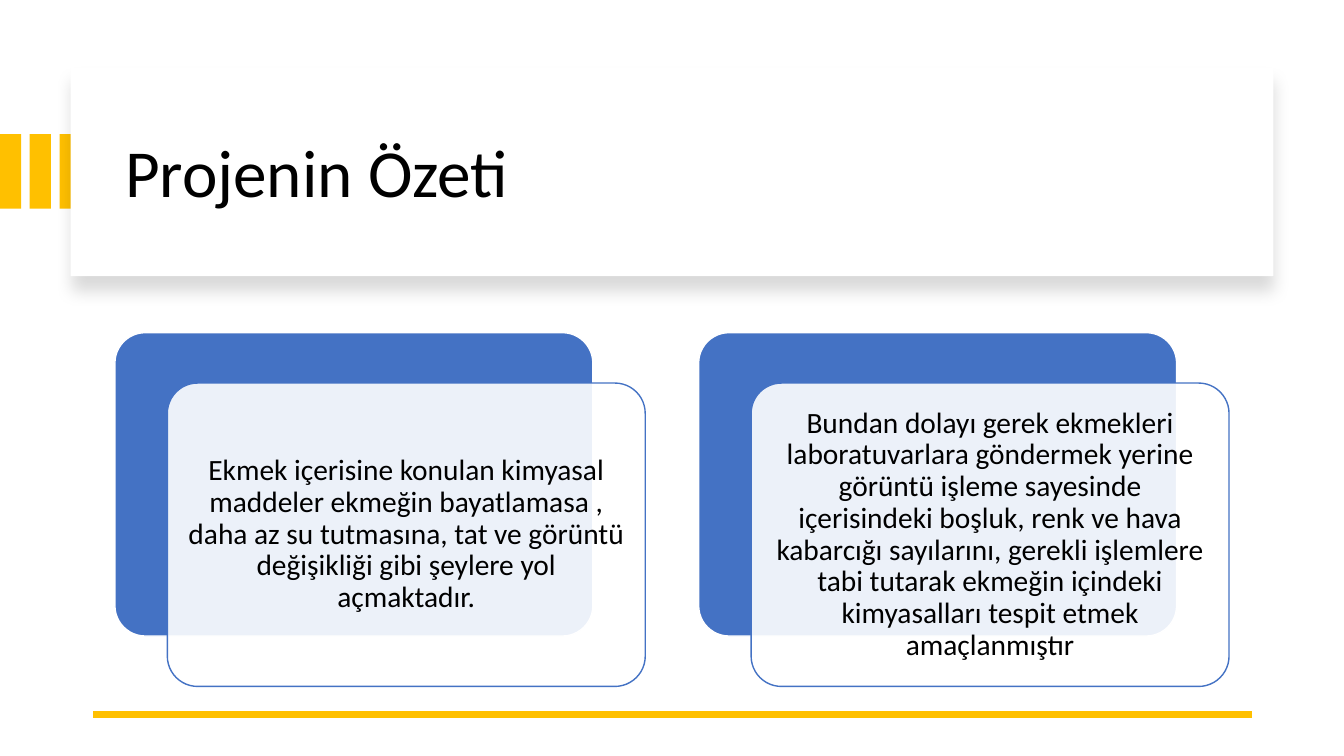
from dataclasses import dataclass

from lxml import etree
from pptx import Presentation
from pptx import util as u
from pptx.dml.color import RGBColor
from pptx.enum import shapes, text
from pptx.oxml import ns


@dataclass(frozen=True)
class Theme:
    accent: str = "FFC000"
    blue: str = "4472C4"
    paper: str = "FFFFFF"
    ink: str = "000000"
    font: str = "Calibri"
    title_size: float = 48
    card_size: float = 21
    card_line: float = 1
    rule_line: float = 4.5


@dataclass(frozen=True)
class Box:
    left: float
    top: float
    width: float
    height: float

    def shifted(self, right: float, down: float = 0):
        return Box(self.left + right, self.top + down, self.width, self.height)

    def lengths(self):
        return [u.Inches(v) for v in (self.left, self.top, self.width, self.height)]


THEME = Theme()
STRIPE = Box(0, 1.33, 0.21, 0.74)
STRIPE_PITCH = 0.295
PANEL = Box(0.7, 0.67, 11.93, 2.07)
HEADING = Box(1.14, 0.89, 11.13, 1.7)
CARD = Box(1.14, 3.3, 4.74, 3.01)
CARD_PITCH = 5.79
FRONT_OFFSET = (0.52, 0.5)
SUMMARIES = (
    "Ekmek içerisine konulan kimyasal maddeler ekmeğin bayatlamasa , daha az su "
    "tutmasına, tat ve görüntü değişikliği gibi şeylere yol açmaktadır.",
    "Bundan dolayı gerek ekmekleri laboratuvarlara göndermek yerine görüntü işleme "
    "sayesinde içerisindeki boşluk, renk ve hava kabarcığı sayılarını, gerekli "
    "işlemlere tabi tutarak ekmeğin içindeki kimyasalları tespit etmek amaçlanmıştır",
)


def add_child(parent, tag: str, **attributes):
    return etree.SubElement(parent, ns.qn(tag), attributes)


def add_block(slide, box: Box, fill: str, outline: str = "", rounded: bool = False):
    preset = shapes.MSO_SHAPE.ROUNDED_RECTANGLE if rounded else shapes.MSO_SHAPE.RECTANGLE
    block = slide.shapes.add_shape(preset, *box.lengths())
    block.shadow.inherit = False
    block.fill.solid()
    block.fill.fore_color.rgb = RGBColor.from_string(fill)
    if rounded:
        block.adjustments[0] = 0.1
    if outline:
        block.line.color.rgb = RGBColor.from_string(outline)
        block.line.width = u.Pt(THEME.card_line)
    else:
        block.line.fill.background()
    return block


def write(shape, wording: str, size: float, alignment) -> None:
    frame = shape.text_frame
    frame.word_wrap = True
    frame.auto_size = text.MSO_AUTO_SIZE.NONE
    frame.vertical_anchor = text.MSO_ANCHOR.MIDDLE
    frame.text = wording
    paragraph = frame.paragraphs[0]
    paragraph.alignment = alignment
    paragraph.line_spacing = 0.9
    paragraph.font.name = THEME.font
    paragraph.font.size = u.Pt(size)
    paragraph.font.color.rgb = RGBColor.from_string(THEME.ink)


def add_header(slide) -> None:
    for index in range(3):
        add_block(slide, STRIPE.shifted(index * STRIPE_PITCH), THEME.accent)
    panel = add_block(slide, PANEL, THEME.paper)
    effects = panel._element.spPr.find(ns.qn("a:effectLst"))
    shadow = add_child(effects, "a:outerShdw", blurRad=str(u.Pt(11)),
                       dist=str(u.Pt(10)), dir="5400000", algn="t", rotWithShape="0")
    shade = add_child(shadow, "a:srgbClr", val=THEME.ink)
    add_child(shade, "a:alpha", val="15000")

    heading = slide.shapes.title
    heading.left, heading.top, heading.width, heading.height = HEADING.lengths()
    write(heading, "Projenin Özeti", THEME.title_size, text.PP_ALIGN.LEFT)
    panel._element.addnext(heading._element)


def add_rule(slide) -> None:
    rule = slide.shapes.add_connector(
        shapes.MSO_CONNECTOR.STRAIGHT,
        u.Inches(12.42), u.Inches(7.09), u.Inches(0.92), u.Inches(7.09))
    rule.line.color.rgb = RGBColor.from_string(THEME.accent)
    rule.line.width = u.Pt(THEME.rule_line)
    add_child(rule._element.spPr, "a:effectLst")


def add_card(slide, box: Box, summary: str) -> None:
    add_block(slide, box, THEME.blue, THEME.paper, rounded=True)
    front = add_block(slide, box.shifted(*FRONT_OFFSET), THEME.paper, THEME.blue, rounded=True)
    tint = front._element.spPr.find(ns.qn("a:solidFill"))[0]
    add_child(tint, "a:alpha", val="90000")
    frame = front.text_frame
    frame.margin_left = frame.margin_right = u.Inches(0.09)
    frame.margin_top = frame.margin_bottom = u.Inches(0.09)
    write(front, summary, THEME.card_size, text.PP_ALIGN.CENTER)


def main() -> None:
    deck = Presentation()
    deck.slide_width, deck.slide_height = u.Inches(13.33), u.Inches(7.5)
    slide = deck.slides.add_slide(deck.slide_layouts.get_by_name("Title Only"))
    add_header(slide)
    add_rule(slide)
    for index, summary in enumerate(SUMMARIES):
        add_card(slide, CARD.shifted(index * CARD_PITCH), summary)
    deck.save("out.pptx")


if __name__ == "__main__":
    main()
